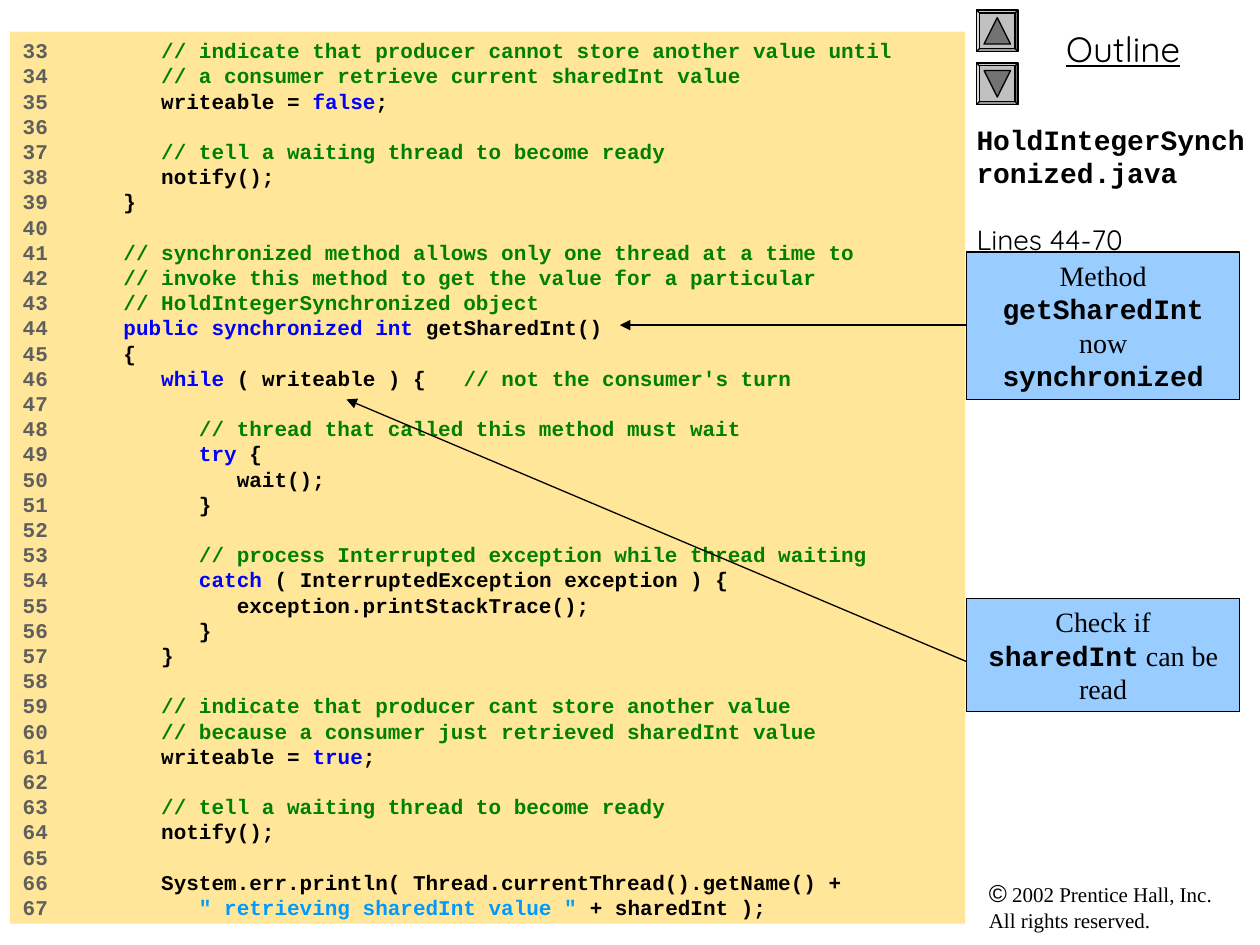
import pptx
import pptx.util
import pptx.dml.color
import pptx.enum.shapes
import pptx.enum.text
import pptx.oxml.ns
import pptx.oxml.xmlchemy

Inches = pptx.util.Inches
Pt = pptx.util.Pt
SHAPE = pptx.enum.shapes.MSO_SHAPE
ALIGN = pptx.enum.text.PP_ALIGN

COLORS = {
    "text": "000000", "number": "5F5F5F", "comment": "008000",
    "keyword": "0000FF", "string": "0099FF", "code": "FFE699",
    "callout": "99CCFF", "button": "C0C0C0", "arrow": "737373",
}
MONO, SERIF, SANS = "Courier New", "Times New Roman", "Quicksand"

FIRST_LINE = 33
CODE = [
    [("comment", "      // indicate that producer cannot store another value until")],
    [("comment", "      // a consumer retrieve current sharedInt value")],
    [("text", "      writeable = "), ("keyword", "false"), ("text", ";")],
    [],
    [("comment", "      // tell a waiting thread to become ready")],
    [("text", "      notify();")],
    [("text", "   }")],
    [],
    [("comment", "   // synchronized method allows only one thread at a time to")],
    [("comment", "   // invoke this method to get the value for a particular")],
    [("comment", "   // HoldIntegerSynchronized object")],
    [("keyword", "   public synchronized int "), ("text", "getSharedInt()")],
    [("text", "   {")],
    [("keyword", "      while"), ("text", " ( writeable ) {  "),
     ("comment", " // not the consumer's turn")],
    [],
    [("comment", "         // thread that called this method must wait")],
    [("keyword", "         try"), ("text", " {")],
    [("text", "            wait();")],
    [("text", "         }")],
    [],
    [("comment", "         // process Interrupted exception while thread waiting")],
    [("keyword", "         catch"), ("text", " ( InterruptedException exception ) {")],
    [("text", "            exception.printStackTrace();")],
    [("text", "         }")],
    [("text", "      }")],
    [],
    [("comment", "      // indicate that producer cant store another value")],
    [("comment", "      // because a consumer just retrieved sharedInt value")],
    [("text", "      writeable = "), ("keyword", "true"), ("text", ";")],
    [],
    [("comment", "      // tell a waiting thread to become ready")],
    [("text", "      notify();")],
    [],
    [("text", "      System.err.println( Thread.currentThread().getName() +")],
    [("string", '         " retrieving sharedInt value "'), ("text", " + sharedInt );")],
]


def rgb(name):
    return pptx.dml.color.RGBColor.from_string(COLORS[name])


def add_run(p, text, font, size, color="text", bold=False):
    r = p.add_run()
    r.text = text
    r.font.name, r.font.size, r.font.bold = font, Pt(size), bold
    r.font.color.rgb = rgb(color)
    return r


def place(sp, box):
    sp.left, sp.top, sp.width, sp.height = [Inches(v) for v in box]


def top_frame(sp):
    tf = sp.text_frame
    tf.word_wrap = True
    tf.auto_size = pptx.enum.text.MSO_AUTO_SIZE.NONE
    tf.vertical_anchor = pptx.enum.text.MSO_ANCHOR.TOP
    return tf


def add_filled(s, kind, box, fill):
    sp = s.shapes.add_shape(kind, *[Inches(v) for v in box])
    sp.shadow.inherit = False
    sp.fill.solid()
    sp.fill.fore_color.rgb = rgb(fill)
    sp.line.color.rgb = rgb("text")
    sp.line.width = Pt(0.75)
    return sp


def add_label(s, box):
    sp = s.shapes.add_textbox(*[Inches(v) for v in box])
    return top_frame(sp).paragraphs[0]


def add_heading(s, box):
    p = add_label(s, box)
    p.alignment = ALIGN.CENTER
    add_run(p, "Outline", SANS, 20).font.underline = True


def add_copyright(s, box):
    p = add_label(s, box)
    add_run(p, "©", "Arial", 14)
    add_run(p, " 2002 Prentice Hall, Inc.", SERIF, 12)
    p.add_line_break()
    add_run(p, "All rights reserved.", SERIF, 12)


def add_button(s, box, rotation):
    left, top, width, height = box
    sp = add_filled(s, SHAPE.BEVEL, box, "button")
    sp.adjustments[0] = 0.07
    inset = 0.06
    arrow_box = (left + inset, top + inset, width - 2 * inset, height - 2 * inset)
    add_filled(s, SHAPE.ISOSCELES_TRIANGLE, arrow_box, "arrow").rotation = rotation


def add_outline_title(s, box):
    sp = s.shapes.title
    place(sp, box)
    tf = top_frame(sp)
    tf.margin_left = 0
    p = tf.paragraphs[0]
    add_run(p, "HoldIntegerSynchronized.java", MONO, 16, bold=True)
    lines = tf.add_paragraph()
    lines.space_before = Pt(19)
    add_run(lines, "Lines 44-70", SANS, 16)
    for p in tf.paragraphs:
        p.alignment = ALIGN.LEFT


def add_code(s, box):
    sp = s.placeholders[1]
    place(sp, box)
    sp.fill.solid()
    sp.fill.fore_color.rgb = rgb("code")
    tf = top_frame(sp)
    for i, parts in enumerate(CODE):
        p = tf.add_paragraph() if i else tf.paragraphs[0]
        p.alignment = ALIGN.LEFT
        p.space_before = Pt(0)
        number = str(FIRST_LINE + i) + ("   " if parts else "")
        for color, text in [("number", number)] + parts:
            add_run(p, text, MONO, 12, color, True)


def add_callout(s, box, parts, start, end):
    p = top_frame(add_filled(s, SHAPE.RECTANGLE, box, "callout")).paragraphs[0]
    p.alignment = ALIGN.CENTER
    for font, text in parts:
        add_run(p, text, font, 16, bold=font == MONO)
    points = [Inches(v) for v in start + end]
    line = s.shapes.add_connector(pptx.enum.shapes.MSO_CONNECTOR.STRAIGHT, *points)
    line.line.color.rgb = rgb("text")
    line.line.width = Pt(0.75)
    ln = line.element.spPr.find(pptx.oxml.ns.qn("a:ln"))
    tail = pptx.oxml.xmlchemy.OxmlElement("a:tailEnd")
    tail.set("type", "triangle")
    ln.append(tail)
    ln.addnext(pptx.oxml.xmlchemy.OxmlElement("a:effectLst"))


def main():
    prs = pptx.Presentation()
    prs.slide_width, prs.slide_height = Inches(10), Inches(7.5)
    s = prs.slides.add_slide(prs.slide_layouts[0])
    add_copyright(s, (7.75, 6.92, 2.17, 0.54))
    add_heading(s, (7.83, 0.17, 2.17, 0.44))
    for top, rotation in ((0.08, 0), (0.5, 180)):
        add_button(s, (7.75, top, 0.33, 0.33), rotation)
    add_outline_title(s, (7.75, 0.92, 2.25, 6))
    add_code(s, (0.08, 0.25, 7.58, 7.08))
    add_callout(s, (7.67, 2, 2.17, 1.17),
                [(SERIF, "Method "), (MONO, "getSharedInt"),
                 (SERIF, " now "), (MONO, "synchronized")],
                (7.67, 2.58), (4.92, 2.58))
    add_callout(s, (7.67, 4.75, 2.17, 0.9),
                [(SERIF, "Check if "), (MONO, "sharedInt"), (SERIF, " can be read")],
                (7.67, 5.25), (2.75, 3.17))
    prs.save("out.pptx")


if __name__ == "__main__":
    main()
